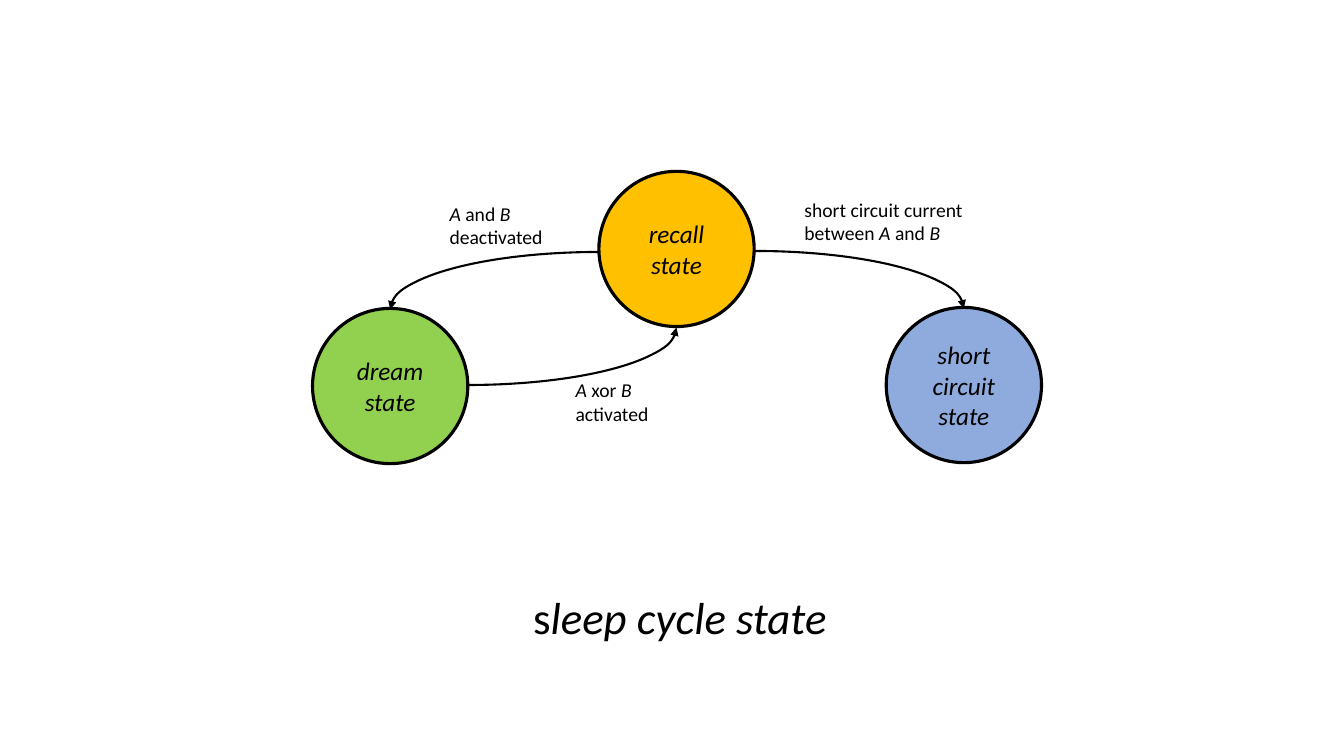
import pptx
import pptx.dml.color
import pptx.enum.shapes
import pptx.enum.text
import pptx.oxml
import pptx.oxml.ns
import pptx.util
from dataclasses import dataclass
from pptx.util import Inches

RGB = pptx.dml.color.RGBColor
SHAPES = pptx.enum.shapes.MSO_SHAPE
TEXT = pptx.enum.text


@dataclass(frozen=True)
class Theme:
    font: str = "Calibri"
    ink: str = "000000"
    dream: str = "92D050"
    recall: str = "FFC000"
    short_circuit: str = "8FAADC"
    state_size: int = 18
    label_size: int = 14
    caption_size: int = 32
    state_line: float = 2.25
    arc_line: float = 1.5


@dataclass(frozen=True)
class State:
    name: str
    left: float
    top: float
    fill: str


@dataclass(frozen=True)
class Transition:
    left: float
    top: float
    flip: str = ""  # flipH or flipV


@dataclass(frozen=True)
class Label:
    runs: tuple[tuple[str, bool], ...]  # text, italic
    left: float
    top: float
    width: float
    height: float = 0.57
    size: int = Theme.label_size
    wrap: bool = True


THEME = Theme()
STATE_DIAMETER = 1.54
ARC_WIDTH, ARC_HEIGHT = 4.14, 1.14

STATES = (
    State("dream state", 3.1, 3.06, THEME.dream),
    State("recall state", 5.94, 1.7, THEME.recall),
    State("short circuit state", 8.79, 3.05, THEME.short_circuit),
)
TRANSITIONS = (
    Transition(2.57, 2.68, "flipV"),
    Transition(3.87, 2.5, "flipH"),
    Transition(5.42, 2.49),
)
LABELS = (
    Label((("A ", True), ("xor ", False), ("B", True), (" activated", False)),
          5.61, 3.7, 0.98),
    Label((("A", True), (" and ", False), ("B", True), (" deactivated", False)),
          4.36, 1.95, 1.25),
    Label((("short circuit current between ", False), ("A", True),
           (" and ", False), ("B", True)), 7.88, 1.91, 2.2),
    Label((("s", False), ("leep cycle state", True)),
          5.19, 5.8, 3.24, 0.64, THEME.caption_size, wrap=False),
)


def style_font(paragraph, size: int) -> None:
    paragraph.font.name = THEME.font
    paragraph.font.size = pptx.util.Pt(size)
    paragraph.font.color.rgb = RGB.from_string(THEME.ink)


def style_line(shape, width: float) -> None:
    shape.shadow.inherit = False
    shape.line.color.rgb = RGB.from_string(THEME.ink)
    shape.line.width = pptx.util.Pt(width)


def draw_state(slide, state: State) -> None:
    circle = slide.shapes.add_shape(
        SHAPES.OVAL, Inches(state.left), Inches(state.top),
        Inches(STATE_DIAMETER), Inches(STATE_DIAMETER))
    style_line(circle, THEME.state_line)
    circle.fill.solid()
    circle.fill.fore_color.rgb = RGB.from_string(state.fill)
    circle.text_frame.vertical_anchor = TEXT.MSO_ANCHOR.MIDDLE
    name = circle.text_frame.paragraphs[0]
    name.alignment = TEXT.PP_ALIGN.CENTER
    style_font(name, THEME.state_size)
    name.font.italic = True
    name.add_run().text = state.name


def draw_transition(slide, transition: Transition) -> None:
    arc = slide.shapes.add_shape(
        SHAPES.ARC, Inches(transition.left), Inches(transition.top),
        Inches(ARC_WIDTH), Inches(ARC_HEIGHT))
    style_line(arc, THEME.arc_line)
    arc.fill.background()
    properties = arc._element.spPr
    if transition.flip:
        properties.find(pptx.oxml.ns.qn("a:xfrm")).set(transition.flip, "1")
    # Arrowhead at the end of the arc
    properties.find(pptx.oxml.ns.qn("a:ln")).append(pptx.oxml.parse_xml(
        f'<a:tailEnd {pptx.oxml.ns.nsdecls("a")} type="triangle"/>'))


def draw_label(slide, label: Label) -> None:
    box = slide.shapes.add_textbox(
        Inches(label.left), Inches(label.top),
        Inches(label.width), Inches(label.height))
    box.text_frame.word_wrap = label.wrap
    box.text_frame.auto_size = TEXT.MSO_AUTO_SIZE.SHAPE_TO_FIT_TEXT
    wording = box.text_frame.paragraphs[0]
    style_font(wording, label.size)
    for text, italic in label.runs:
        run = wording.add_run()
        run.text = text
        run.font.italic = italic


def main() -> None:
    deck = pptx.Presentation()
    deck.slide_width, deck.slide_height = Inches(13.33), Inches(7.5)
    slide = deck.slides.add_slide(deck.slide_layouts[6])

    # States of the cycle
    for state in STATES:
        draw_state(slide, state)
    # Arrows between the states
    for transition in TRANSITIONS:
        draw_transition(slide, transition)
    # Conditions and caption
    for label in LABELS:
        draw_label(slide, label)

    deck.save("out.pptx")


if __name__ == "__main__":
    main()
